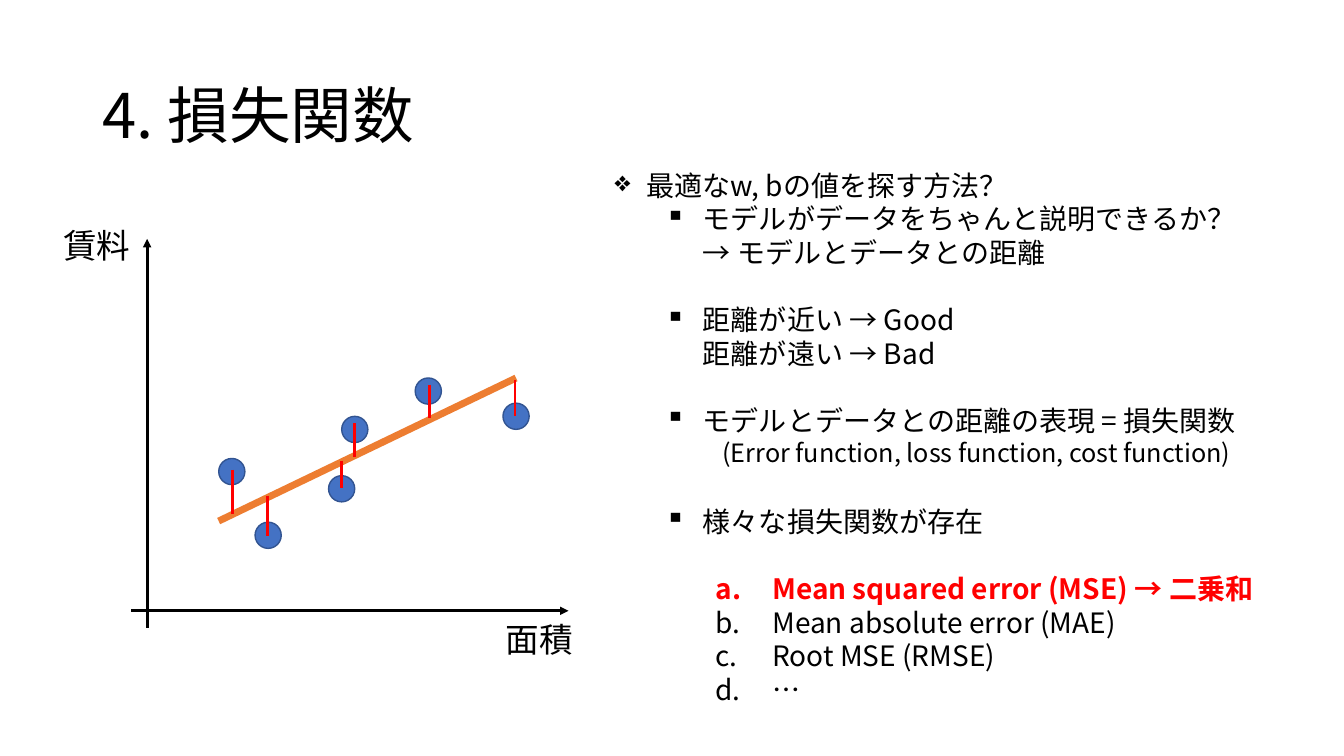
from dataclasses import dataclass
from lxml.etree import SubElement
from pptx import Presentation
from pptx.dml.color import RGBColor
from pptx.enum.shapes import MSO_CONNECTOR, MSO_SHAPE
from pptx.enum.text import MSO_ANCHOR
from pptx.oxml.ns import qn
from pptx.util import Pt


@dataclass(frozen=True)
class Theme:
    """Hold the colours, fonts and type sizes of the slide."""

    ink: str = "000000"
    dot: str = "4472C4"
    rim: str = "325491"
    fit: str = "ED7D31"
    gap: str = "FF0000"
    main: str = "Noto Sans CJK JP"
    side: str = "Noto Sans CJK KR"
    head: int = 44
    name: int = 24
    body: int = 20
    note: int = 18
    lead: float = 1.2


LOOK = Theme()
DOT = 18.7
DATA = [
    (156.25, 327.5, 166.3, 335.5, 367.2),
    (234.7, 339.8, 244.1, 329, 348.5),
    (244.1, 297.4, 253.4, 302.4, 326.2),
    (296.6, 270, 306.7, 275, 298.8),
    (182.2, 373, 190.8, 354.2, 383),
    (359.3, 288, 367.9, 271.4, 297.4),
]
TOP = dict(left=22.5, hang=22.5, mark="❖")
POINT = dict(left=63, hang=27, mark="▪", level=1)
ITEM = dict(left=112.5, hang=40.5, auto="alphaLcPeriod", level=2)
NOTES = [
    ("最適なw, bの値を探す方法？", TOP),
    ("モデルがデータをちゃんと説明できるか？\n→ モデルとデータとの距離", POINT),
    ("距離が近い → Good\n距離が遠い → Bad", POINT | dict(before=24)),
    ("モデルとデータとの距離の表現 = 損失関数", POINT | dict(before=24)),
    ("様々な損失関数が存在", POINT | dict(before=48)),
    ("Mean squared error (MSE) → 二乗和",
     ITEM | dict(before=24, color=LOOK.gap, bold=True)),
    ("Mean absolute error (MAE)", ITEM),
    ("Root MSE (RMSE)", ITEM),
    ("…", ITEM),
]


def tint(code):
    """Turn a hex code into a colour."""
    return RGBColor.from_string(code)


def write(para, text, size=LOOK.body, font=LOOK.main, color=LOOK.ink, bold=False,
          left=0, hang=0, mark=None, auto=None, level=0, before=0):
    """Fill a paragraph with text in the given format."""
    para.text = text
    para.level = level
    props = para._p.get_or_add_pPr()
    props.set("marL", str(Pt(left)))
    props.set("indent", str(-Pt(hang)))
    if mark:
        SubElement(props, qn("a:buChar"), char=mark)
    elif auto:
        SubElement(props, qn("a:buAutoNum"), type=auto)
    para.line_spacing = Pt(size * LOOK.lead)
    para.space_before = Pt(before)
    for run in para.runs:
        run.font.size = Pt(size)
        run.font.bold = bold
        run.font.color.rgb = tint(color)
        run.font.name = font
        SubElement(run._r.get_or_add_rPr(), qn("a:ea"), typeface=font)


def add_text(slide, box, lines, anchor=MSO_ANCHOR.TOP):
    """Add a text box with one paragraph per line."""
    frame = slide.shapes.add_textbox(*map(Pt, box)).text_frame
    frame.word_wrap = True
    frame.vertical_anchor = anchor
    for index, (text, style) in enumerate(lines):
        para = frame.add_paragraph() if index else frame.paragraphs[0]
        write(para, text, **style)


def add_line(slide, ends, color, width=2, arrow=False):
    """Add a straight line, with an arrowhead if asked."""
    line = slide.shapes.add_connector(MSO_CONNECTOR.STRAIGHT, *map(Pt, ends))
    line.line.color.rgb = tint(color)
    line.line.width = Pt(width)
    if arrow:
        SubElement(line.line._get_or_add_ln(), qn("a:tailEnd"), type="triangle")
    SubElement(line._element.spPr, qn("a:effectLst"))


def add_dot(slide, left, top):
    """Add one data point."""
    dot = slide.shapes.add_shape(MSO_SHAPE.OVAL, Pt(left), Pt(top), Pt(DOT), Pt(DOT))
    dot.shadow.inherit = False
    dot.fill.solid()
    dot.fill.fore_color.rgb = tint(LOOK.dot)
    dot.line.color.rgb = tint(LOOK.rim)
    dot.line.width = Pt(1)


def add_plot(slide):
    """Draw the axes, points, fitted line and distances."""
    add_line(slide, (93.6, 436.3, 406.1, 436.3), LOOK.ink, arrow=True)
    add_line(slide, (105.1, 448.5, 105.1, 170.6), LOOK.ink, arrow=True)
    for text, left, top in [("面積", 354.2, 438.5), ("賃料", 38.2, 157)]:
        style = dict(size=LOOK.name, font=LOOK.side)
        add_text(slide, (left, top, 64, 36), [(text, style)])
    for left, top, *_ in DATA:
        add_dot(slide, left, top)
    add_line(slide, (156.2, 372.2, 368.6, 270), LOOK.fit, width=5)
    for *_, x, high, low in DATA:
        add_line(slide, (x, high, x, low), LOOK.gap)


def main():
    """Build and save the slide."""
    deck = Presentation()
    deck.slide_width, deck.slide_height = Pt(960), Pt(540)
    slide = deck.slides.add_slide(deck.slide_layouts[6])
    add_text(slide, (66.2, 28.8, 828, 104.4),
             [("4. 損失関数", dict(size=LOOK.head))], MSO_ANCHOR.MIDDLE)
    add_plot(slide)
    add_text(slide, (432, 116.6, 495.4, 420), NOTES)
    add_text(slide, (509, 308.9, 388, 28.8),
             [("(Error function, loss function, cost function)",
               dict(size=LOOK.note, font=LOOK.side))])
    deck.save("out.pptx")


if __name__ == "__main__":
    main()
